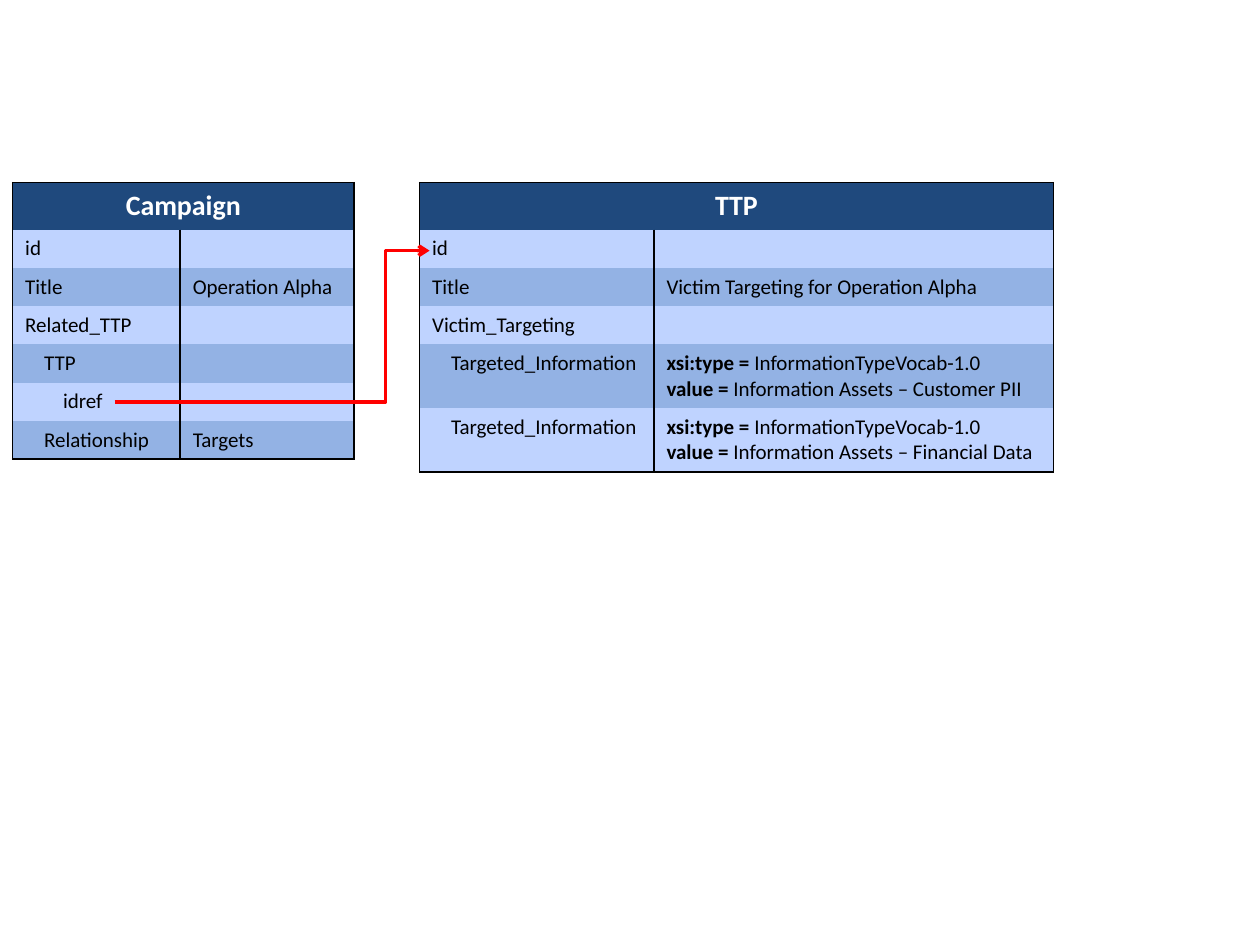
from lxml import etree
from pptx import Presentation
from pptx.dml.color import RGBColor
from pptx.enum.shapes import MSO_CONNECTOR
from pptx.enum.text import PP_ALIGN
from pptx.oxml.ns import qn
from pptx.util import Inches, Pt

ELBOW = MSO_CONNECTOR.ELBOW
CENTER = PP_ALIGN.CENTER

FONT = "Calibri"
NAVY, LIGHT, BAND = "1F497D", "BFD3FF", "93B2E4"
BLACK, WHITE, RED = "000000", "FFFFFF", "FF0000"
PLAIN_TABLE_STYLE = "{2D5ABB26-0587-4C30-8999-92F81FD0307C}"
HEADER_HEIGHT, LINE_HEIGHT, ROW_PADDING = 0.37, 0.2, 0.1
INDENT = 0.15

# Each row: indent level, field name, value lines made of (text, bold) runs
CAMPAIGN_ROWS = [
    (0, "id", []),
    (0, "Title", [[("Operation Alpha", False)]]),
    (0, "Related_TTP", []),
    (1, "TTP", []),
    (2, "idref", []),
    (1, "Relationship", [[("Targets", False)]]),
]


def targeted_information(value):
    return (1, "Targeted_Information", [
        [("xsi:type = ", True), ("InformationTypeVocab-1.0", False)],
        [("value = ", True), (value, False)],
    ])


TTP_ROWS = [
    (0, "id", []),
    (0, "Title", [[("Victim Targeting for Operation Alpha", False)]]),
    (0, "Victim_Targeting", []),
    targeted_information("Information Assets – Customer PII"),
    targeted_information("Information Assets – Financial Data"),
]


def rgb(color):
    return RGBColor.from_string(color)


def add_borders(cell, sides):
    properties = cell._tc.get_or_add_tcPr()
    for side in sides:
        border = etree.SubElement(properties, qn(f"a:ln{side}"), w=str(Pt(1)))
        fill = etree.SubElement(border, qn("a:solidFill"))
        etree.SubElement(fill, qn("a:srgbClr"), val=BLACK)


def fill_cell(cell, color, sides):
    add_borders(cell, sides)
    cell.fill.solid()
    cell.fill.fore_color.rgb = rgb(color)


def write_lines(cell, lines, size=12, color=BLACK, level=0, align=None):
    frame = cell.text_frame
    for index, line in enumerate(lines or [[]]):
        paragraph = frame.add_paragraph() if index else frame.paragraphs[0]
        if align is not None:
            paragraph.alignment = align
        if level:
            paragraph._p.get_or_add_pPr().set("marL", str(Inches(INDENT * level)))
        for text, bold in line:
            run = paragraph.add_run()
            run.text = text
            run.font.name = FONT
            run.font.size = Pt(size)
            run.font.bold = bold
            run.font.color.rgb = rgb(color)
        if not line:  # keeps an empty cell as low as its neighbour
            paragraph._p.get_or_add_endParaRPr().set("sz", str(size * 100))


def add_record_table(slide, left, top, column_widths, heading, rows):
    heights = [HEADER_HEIGHT] + [
        ROW_PADDING + LINE_HEIGHT * max(1, len(lines)) for _, _, lines in rows]
    frame = slide.shapes.add_table(
        len(heights), 2, Inches(left), Inches(top),
        Inches(sum(column_widths)), Inches(sum(heights)))
    table = frame.table
    table._tbl.tblPr.find(qn("a:tableStyleId")).text = PLAIN_TABLE_STYLE
    table.horz_banding = False
    for column, width in zip(table.columns, column_widths):
        column.width = Inches(width)
    for row, height in zip(table.rows, heights):
        row.height = Inches(height)

    # Heading across both columns
    header, spanned = table.cell(0, 0), table.cell(0, 1)
    header.merge(spanned)
    fill_cell(header, NAVY, "LRT")
    fill_cell(spanned, NAVY, "RT")
    write_lines(header, [[(heading, True)]], 16, WHITE, align=CENTER)

    # Field rows in alternating colours
    for number, (level, field, lines) in enumerate(rows, 1):
        color = LIGHT if number % 2 else BAND
        sides = "LRB" if number == len(rows) else "LR"
        name_cell, value_cell = table.cell(number, 0), table.cell(number, 1)
        for cell in (name_cell, value_cell):
            fill_cell(cell, color, sides)
        write_lines(name_cell, [[(field, False)]], level=level)
        write_lines(value_cell, lines)


def add_reference_arrow(slide, start, end, bend):
    arrow = slide.shapes.add_connector(ELBOW, *map(Inches, start + end))
    arrow.line.color.rgb = rgb(RED)
    arrow.line.width = Pt(2)
    properties = arrow._element.spPr
    guides = properties.find(qn("a:prstGeom")).get_or_add_avLst()
    etree.SubElement(guides, qn("a:gd"), name="adj1",
                     fmla=f"val {round(bend * 100000)}")
    etree.SubElement(arrow.line._get_or_add_ln(), qn("a:tailEnd"), type="arrow")
    etree.SubElement(properties, qn("a:effectLst"))


def main():
    presentation = Presentation()
    presentation.slide_width = Inches(10)
    presentation.slide_height = Inches(7.5)
    slide = presentation.slides.add_slide(presentation.slide_layouts[6])

    add_record_table(slide, 0.1, 1.45, (1.33, 1.38), "Campaign", CAMPAIGN_ROWS)
    add_record_table(slide, 3.33, 1.45, (1.86, 3.17), "TTP", TTP_ROWS)
    # Link from the campaign's idref to the TTP's id
    add_reference_arrow(slide, (0.91, 3.19), (3.41, 1.99), bend=0.86)

    presentation.save("out.pptx")


if __name__ == "__main__":
    main()
